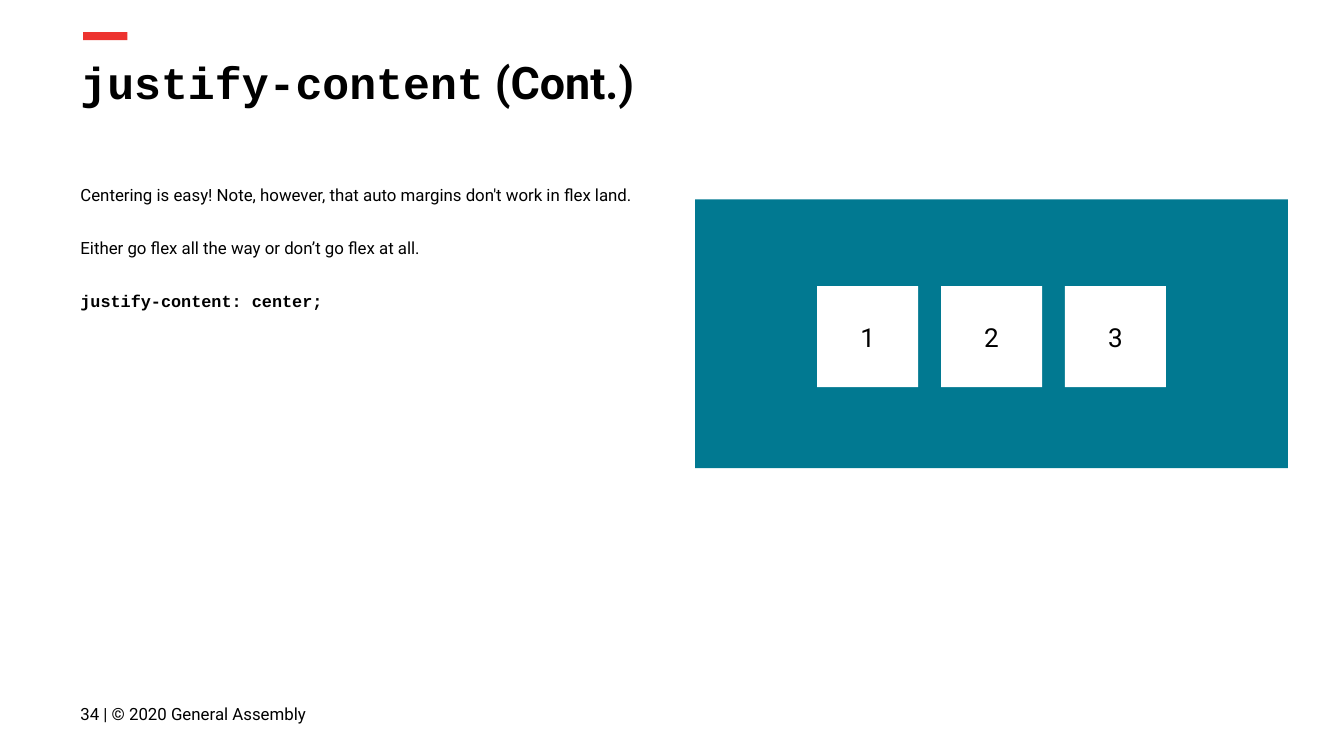
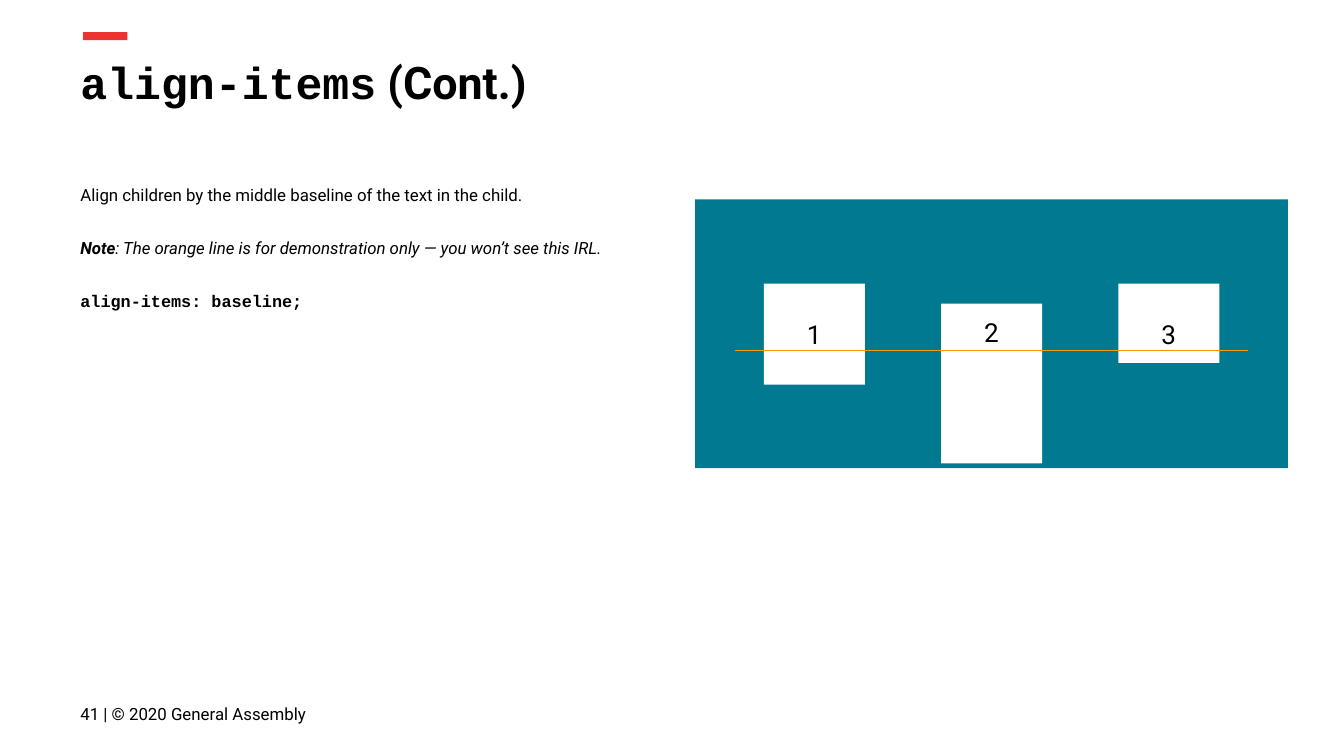
import pptx
import pptx.util
import pptx.dml.color
import pptx.enum.shapes
import pptx.enum.text
import pptx.oxml.ns
from lxml import etree

Cm, Pt = pptx.util.Cm, pptx.util.Pt
RGBColor = pptx.dml.color.RGBColor
ANCHOR = pptx.enum.text.MSO_ANCHOR
ALIGN = pptx.enum.text.PP_ALIGN

BLACK = RGBColor(0x00, 0x00, 0x00)
WHITE = RGBColor(0xFF, 0xFF, 0xFF)
RED = RGBColor(0xED, 0x33, 0x2F)
TEAL = RGBColor(0x01, 0x79, 0x91)
ORANGE = RGBColor(0xFF, 0x99, 0x00)
SANS, MONO = "Roboto", "Courier New"

# Content: a run is its text and its format; a flex item is label, top, height, anchor
CODE = {"font": MONO, "bold": True}
LESSONS = [
    {
        "property": "justify-content",
        "page": 34,
        "body_width": 11.43,
        "body": [
            [("Centering is easy! Note, however, that auto margins don't work in flex land.", {})],
            [("Either go flex all the way or don’t go flex at all.", {})],
            [("justify-content: center;", CODE)],
        ],
        "pitch": 2.34,
        "items": [(label, 5.41, 1.91, ANCHOR.MIDDLE) for label in "123"],
        "baseline": None,
    },
    {
        "property": "align-items",
        "page": 41,
        "body_width": 10.49,
        "body": [
            [("Align children by the middle baseline of the text in the child.", {})],
            [("Note", {"bold": True, "italic": True}),
             (": The orange line is for demonstration only — you won’t see this IRL.",
              {"italic": True})],
            [("align-items: baseline;", CODE)],
        ],
        "pitch": 3.35,
        "items": [
            ("1", 5.36, 1.91, ANCHOR.MIDDLE),
            ("2", 5.74, 3.02, ANCHOR.TOP),
            ("3", 5.36, 1.5, ANCHOR.BOTTOM),
        ],
        "baseline": 6.63,
    },
]

# Layout in centimetres
MARGIN = 1.27
PANEL = (13.14, 3.77, 11.2, 5.08)
PANEL_CENTRE = PANEL[0] + PANEL[2] / 2
ITEM_WIDTH = 1.91
BASELINE_LENGTH = 9.7


def write(frame, paragraphs, size=9, anchor=ANCHOR.TOP, align=ALIGN.LEFT,
          line_spacing=1.0, gap=0, gap_after=0):
    """Fill a text frame; paragraphs are lists of (text, format) runs."""
    frame.word_wrap = True
    frame.auto_size = pptx.enum.text.MSO_AUTO_SIZE.NONE
    frame.vertical_anchor = anchor
    frame.margin_left = frame.margin_right = Cm(0.25)
    frame.margin_top = frame.margin_bottom = Cm(0.25)
    for index, runs in enumerate(paragraphs):
        paragraph = frame.add_paragraph() if index else frame.paragraphs[0]
        paragraph.alignment = align
        paragraph.line_spacing = line_spacing
        if index:
            paragraph.space_before = Pt(gap)
        if gap_after and index == len(paragraphs) - 1:
            paragraph.space_after = Pt(gap_after)
        for text, style in runs:
            run = paragraph.add_run()
            run.text = text
            run.font.name = style.get("font", SANS)
            run.font.size = Pt(size)
            run.font.bold = style.get("bold", False)
            run.font.italic = style.get("italic", False)
            run.font.color.rgb = BLACK


def add_block(slide, box, colour):
    block = slide.shapes.add_shape(pptx.enum.shapes.MSO_SHAPE.RECTANGLE, *map(Cm, box))
    block.shadow.inherit = False
    block.fill.solid()
    block.fill.fore_color.rgb = colour
    block.line.fill.background()
    return block


def add_text(slide, box, paragraphs, **style):
    write(slide.shapes.add_textbox(*map(Cm, box)).text_frame, paragraphs, **style)


def add_frame(slide, lesson):
    """Accent bar, title and footer."""
    add_block(slide, (1.57, 0.61, 0.84, 0.15), RED)
    title = slide.shapes.title
    title.left, title.top, title.width, title.height = map(Cm, (MARGIN, 0.79, 23.67, 1.6))
    write(title.text_frame,
          [[(lesson["property"], CODE), (" (Cont.)", {"bold": True})]], size=24)
    add_text(slide, (MARGIN, 12.95, 6.58, 1.09),
             [[(f"{lesson['page']} | © 2020 General Assembly", {})]], anchor=ANCHOR.MIDDLE)


def add_flex_demo(slide, lesson):
    """Container with its items spread evenly around the centre."""
    add_block(slide, PANEL, TEAL)
    middle = (len(lesson["items"]) - 1) / 2
    for index, (label, top, height, anchor) in enumerate(lesson["items"]):
        left = PANEL_CENTRE + (index - middle) * lesson["pitch"] - ITEM_WIDTH / 2
        item = add_block(slide, (left, top, ITEM_WIDTH, height), WHITE)
        write(item.text_frame, [[(label, {})]], size=14, anchor=anchor, align=ALIGN.CENTER)
    if lesson["baseline"]:
        start = PANEL_CENTRE - BASELINE_LENGTH / 2
        y = Cm(lesson["baseline"])
        baseline = slide.shapes.add_connector(
            pptx.enum.shapes.MSO_CONNECTOR.STRAIGHT,
            Cm(start), y, Cm(start + BASELINE_LENGTH), y)
        baseline.line.color.rgb = ORANGE
        baseline.line.width = Pt(0.75)
        etree.SubElement(baseline._element.spPr, pptx.oxml.ns.qn("a:effectLst"))


def main():
    deck = pptx.Presentation()
    deck.slide_width, deck.slide_height = Cm(25.4), Cm(14.29)
    title_only = deck.slide_layouts[5]
    for lesson in LESSONS:
        slide = deck.slides.add_slide(title_only)
        add_frame(slide, lesson)
        add_text(slide, (MARGIN, 3.18, lesson["body_width"], 8.15), lesson["body"],
                 line_spacing=1.15, gap=16, gap_after=16)
        add_flex_demo(slide, lesson)
    deck.save("out.pptx")


if __name__ == "__main__":
    main()
